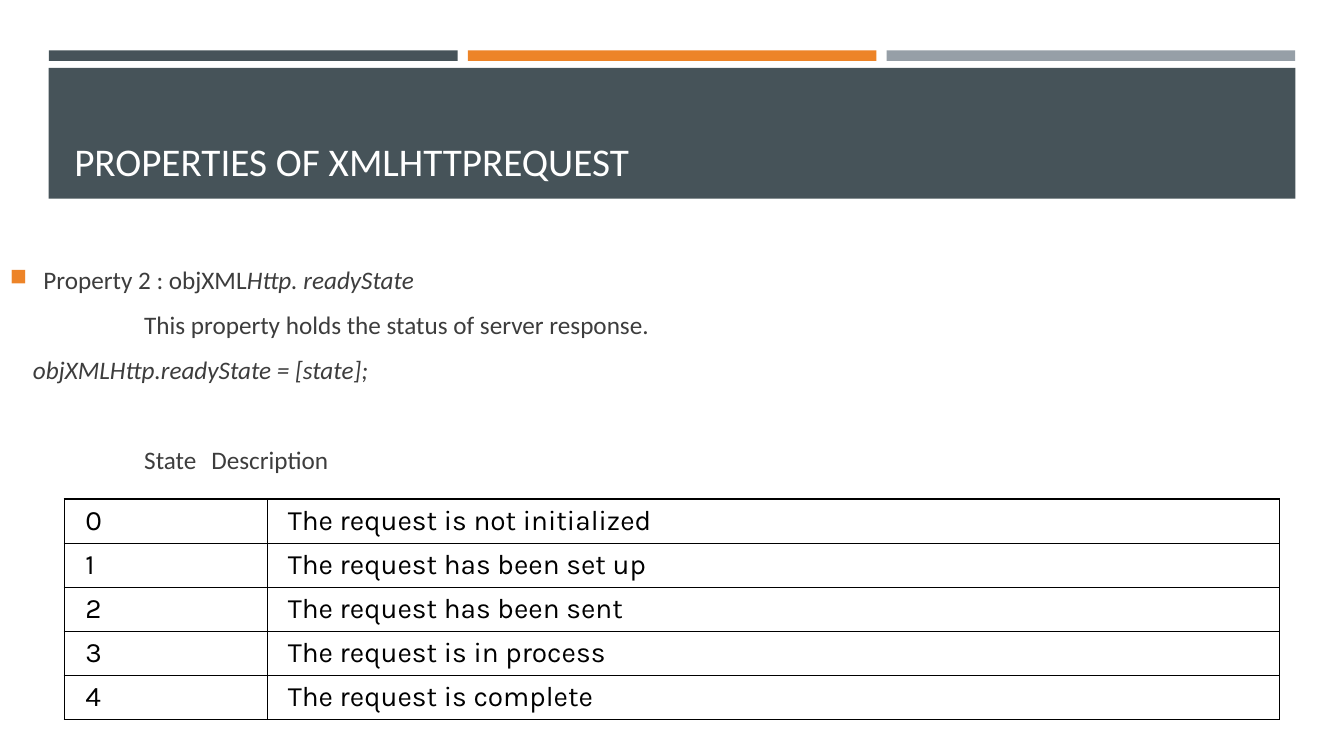
from lxml import etree
from pptx import Presentation
from pptx.dml.color import RGBColor
from pptx.enum.shapes import MSO_SHAPE
from pptx.enum.text import MSO_ANCHOR
from pptx.oxml.ns import qn
from pptx.util import Pt

RECTANGLE = MSO_SHAPE.RECTANGLE
TOP, MIDDLE, BOTTOM = MSO_ANCHOR.TOP, MSO_ANCHOR.MIDDLE, MSO_ANCHOR.BOTTOM

SLATE, ORANGE, GREY = "465359", "ED8428", "969FA7"
WHITE, BLACK, BODY_GREY = "FFFFFF", "000000", "3D3D3D"

TITLE_FORMAT = {"name": "Calibri", "size": Pt(28), "color": WHITE}
BODY_FORMAT = {"name": "Calibri", "size": Pt(18), "color": BODY_GREY}
TABLE_FORMAT = {"name": "Karla", "size": Pt(20), "color": BLACK}
ITALIC = {"italic": True}

# Each paragraph: its runs, its layout in points
BODY = [
    ([("Property 2 : objXML", {}), ("Http. readyState", ITALIC)],
     {"margin": 24, "indent": -24, "bullet": "■"}),
    ([("This property holds the status of server response.", {})],
     {"margin": 96, "before": 4.5}),
    ([("objXMLHttp.readyState = [state];", ITALIC)],
     {"margin": 16.5, "before": 4.5}),
    ([("State\tDescription", {})],
     {"indent": 96, "tab": 158, "before": 36.5}),
]
STATES = [
    "The request is not initialized",
    "The request has been set up",
    "The request has been sent",
    "The request is in process",
    "The request is complete",
]


def color(value):
    return RGBColor.from_string(value)


def add_element(parent, tag, **attributes):
    values = {key: str(value) for key, value in attributes.items()}
    return etree.SubElement(parent, qn(tag), values)


class StatusSlide:
    def __init__(self, slide):
        self.slide = slide

    def set_font(self, font, format_values):
        for key, value in format_values.items():
            if key == "color":
                font.color.rgb = color(value)
            else:
                setattr(font, key, value)

    def bar(self, left, top, width, height, fill):
        shape = self.slide.shapes.add_shape(
            RECTANGLE, Pt(left), Pt(top), Pt(width), Pt(height))
        shape.shadow.inherit = False
        shape.fill.solid()
        shape.fill.fore_color.rgb = color(fill)
        shape.line.fill.background()

    def text(self, left, top, width, height, paragraphs, style, anchor):
        box = self.slide.shapes.add_textbox(
            Pt(left), Pt(top), Pt(width), Pt(height))
        frame = box.text_frame
        frame.word_wrap = True
        frame.vertical_anchor = anchor
        for index, (runs, layout) in enumerate(paragraphs):
            paragraph = frame.add_paragraph() if index else frame.paragraphs[0]
            self.lay_out(paragraph, layout)
            for words, extra in runs:
                run = paragraph.add_run()
                run.text = words
                self.set_font(run.font, {**style, **extra})

    def lay_out(self, paragraph, layout):
        paragraph.space_before = Pt(layout.get("before", 0))
        paragraph.space_after = Pt(layout.get("after", 6))
        properties = paragraph._p.get_or_add_pPr()
        properties.set("marL", str(Pt(layout.get("margin", 0))))
        properties.set("indent", str(Pt(layout.get("indent", 0))))
        if "bullet" in layout:
            bullet_color = add_element(properties, "a:buClr")
            add_element(bullet_color, "a:srgbClr", val=ORANGE)
            add_element(properties, "a:buSzPct", val=92000)
            add_element(properties, "a:buChar", char=layout["bullet"])
        if "tab" in layout:
            tabs = add_element(properties, "a:tabLst")
            add_element(tabs, "a:tab", pos=Pt(layout["tab"]), algn="l")

    def table(self, left, top, column_widths, row_height, rows, style):
        frame = self.slide.shapes.add_table(
            len(rows), len(column_widths), Pt(left), Pt(top),
            Pt(sum(column_widths)), Pt(row_height * len(rows)))
        table = frame.table
        table.first_row = table.horz_banding = False
        for column, width in zip(table.columns, column_widths):
            column.width = Pt(width)
        last_row, last_column = len(rows) - 1, len(column_widths) - 1
        for row_index, row in enumerate(rows):
            table.rows[row_index].height = Pt(row_height)
            for column_index, words in enumerate(row):
                cell = table.cell(row_index, column_index)
                outer_sides = {
                    "a:lnL": column_index == 0,
                    "a:lnR": column_index == last_column,
                    "a:lnT": row_index == 0,
                    "a:lnB": row_index == last_row,
                }
                self.cell(cell, words, outer_sides, style)

    def cell(self, cell, words, outer_sides, style):
        cell.margin_left = cell.margin_right = Pt(15)
        cell.vertical_anchor = MIDDLE
        properties = cell._tc.get_or_add_tcPr()
        for tag, outer in outer_sides.items():
            border = add_element(properties, tag, w=Pt(1.08 if outer else 0.45))
            fill = add_element(border, "a:solidFill")
            add_element(fill, "a:srgbClr", val=BLACK)
        cell.fill.background()
        run = cell.text_frame.paragraphs[0].add_run()
        run.text = words
        self.set_font(run.font, style)


def main():
    presentation = Presentation()
    presentation.slide_width, presentation.slide_height = Pt(960.5), Pt(540)
    slide = presentation.slides.add_slide(presentation.slide_layouts[6])
    page = StatusSlide(slide)

    for index, fill in enumerate((SLATE, ORANGE, GREY)):
        page.bar(35 + 299.3 * index, 36, 292, 7.5, fill)
    page.bar(34.7, 48.5, 891, 93.5, SLATE)
    title = [([("PROPERTIES OF XMLHTTPREQUEST", {})], {"after": 0})]
    page.text(46, 55.5, 868, 80, title, TITLE_FORMAT, BOTTOM)
    page.text(0, 185.5, 701, 168, BODY, BODY_FORMAT, TOP)
    rows = [(str(state), words) for state, words in enumerate(STATES)]
    page.table(46, 356.5, (144.7, 723.6), 31.45, rows, TABLE_FORMAT)

    presentation.save("out.pptx")


if __name__ == "__main__":
    main()
